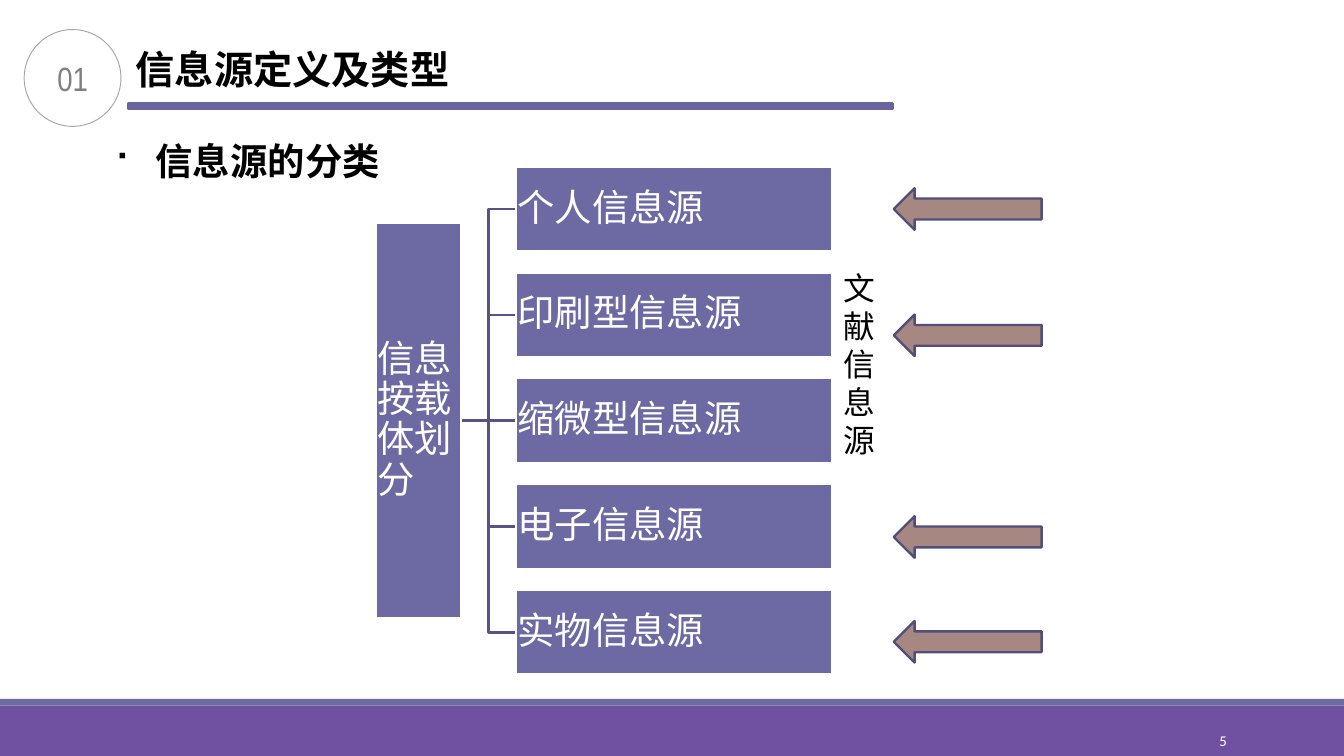
from lxml import etree
from pptx import Presentation
from pptx.dml.color import RGBColor
from pptx.enum.shapes import MSO_CONNECTOR, MSO_SHAPE
from pptx.enum.text import MSO_ANCHOR, MSO_AUTO_SIZE, PP_ALIGN
from pptx.oxml.ns import qn
from pptx.util import Inches, Pt

RECT, OVAL, ARROW = MSO_SHAPE.RECTANGLE, MSO_SHAPE.OVAL, MSO_SHAPE.RIGHT_ARROW
ELBOW, STRAIGHT = MSO_CONNECTOR.ELBOW, MSO_CONNECTOR.STRAIGHT
LEFT, CENTER, RIGHT = PP_ALIGN.LEFT, PP_ALIGN.CENTER, PP_ALIGN.RIGHT
TOP, MIDDLE = MSO_ANCHOR.TOP, MSO_ANCHOR.MIDDLE

WHITE = RGBColor(0xFF, 0xFF, 0xFF)
BLACK = RGBColor(0x00, 0x00, 0x00)
GRAY = RGBColor(0x80, 0x80, 0x80)
RING = RGBColor(0xA6, 0xA6, 0xA6)
FOOTER = RGBColor(0x70, 0x50, 0xA0)
RULE = RGBColor(0x69, 0x64, 0xA0)
BOX = RGBColor(0x6D, 0x69, 0xA3)
BRANCH = RGBColor(0x57, 0x54, 0x83)
ARROW_FILL = RGBColor(0xA6, 0x87, 0x82)
ARROW_LINE = RGBColor(0x51, 0x4E, 0x79)

CJK = "Noto Sans CJK SC"
NARROW_INSETS = (0.07, 0.04)
BOX_INSETS = (0.01, 0.01)

CATEGORIES = ["个人信息源", "印刷型信息源", "缩微型信息源", "电子信息源", "实物信息源"]
BOX_LEFT, BOX_TOP, BOX_WIDTH, BOX_HEIGHT = 3.84, 1.24, 2.35, 0.63
LAST_BOX_TOP = 4.39
ROOT_LEFT, ROOT_HEIGHT = 2.8, 2.94
ARROW_TOPS = [1.4, 2.34, 3.84, 4.62]


def write(s, text, size, color, font="Calibri", bold=False, align=LEFT,
          anchor=TOP, insets=(0.1, 0.05), wrap=True, spacing=None):
    tf = s.text_frame
    mx, my = map(Inches, insets)
    frame = {"margin_left": mx, "margin_right": mx, "margin_top": my,
             "margin_bottom": my, "vertical_anchor": anchor,
             "auto_size": MSO_AUTO_SIZE.NONE, "word_wrap": wrap}
    for name, value in frame.items():
        setattr(tf, name, value)
    p = tf.paragraphs[0]
    p.alignment = align
    p.line_spacing = spacing
    r = p.add_run()
    r.text = text
    for name, value in {"name": font, "size": Pt(size), "bold": bold}.items():
        setattr(r.font, name, value)
    r.font.color.rgb = color
    east_asian = etree.SubElement(r.font._element, qn("a:ea"))
    east_asian.set("typeface", CJK)
    return p


def add_shape(slide, kind, at, fill=None, line=None, weight=1.25):
    s = slide.shapes.add_shape(kind, *map(Inches, at))
    s.shadow.inherit = False
    if fill is None:
        s.fill.background()
    else:
        s.fill.solid()
        s.fill.fore_color.rgb = fill
    if line is None:
        s.line.fill.background()
    else:
        s.line.color.rgb = line
        s.line.width = Pt(weight)
    return s


def add_text(slide, at, text, size, color, **style):
    s = slide.shapes.add_textbox(*map(Inches, at))
    return write(s, text, size, color, **style)


def add_bullet(p, char, indent):
    pPr = p._p.get_or_add_pPr()
    pPr.set("marL", str(Inches(indent)))
    pPr.set("indent", str(-Inches(indent)))
    etree.SubElement(pPr, qn("a:buFont")).set("typeface", "Wingdings")
    etree.SubElement(pPr, qn("a:buChar")).set("char", char)


def add_branch(slide, x1, y1, x2, y2):
    kind = STRAIGHT if y1 == y2 else ELBOW
    c = slide.shapes.add_connector(kind, *map(Inches, (x1, y1, x2, y2)))
    c.line.color.rgb = BRANCH
    c.line.width = Pt(1.25)
    etree.SubElement(c._element.spPr, qn("a:effectLst"))


def add_box(slide, at, text):
    s = add_shape(slide, RECT, at, BOX, WHITE)
    write(s, text, 20, WHITE, anchor=MIDDLE, insets=BOX_INSETS, spacing=0.9)


def add_frame(slide):
    """Footer bands, page number, section number and title."""
    add_shape(slide, RECT, (0, 5.25, 10, 0.38), FOOTER)
    add_shape(slide, RECT, (0, 5.2, 10, 0.05), BOX)
    add_text(slide, (8.12, 5.36, 1.08, 0.3), "5", 8, WHITE, align=RIGHT,
             anchor=MIDDLE, insets=NARROW_INSETS)
    add_shape(slide, RECT, (0.95, 0.77, 5.69, 0.04), RULE, RULE)
    badge = add_shape(slide, OVAL, (0.18, 0.22, 0.72, 0.72), None, RING, 0.5)
    write(badge, "01", 18, GRAY, font="Arial Narrow", align=CENTER,
          anchor=MIDDLE, insets=NARROW_INSETS)
    title = slide.shapes.title
    title.left, title.top, title.width, title.height = map(
        Inches, (0.94, 0.3, 2.52, 0.43))
    write(title, "信息源定义及类型", 21, BLACK, font=CJK, bold=True,
          insets=NARROW_INSETS, wrap=False)


def add_tree(slide):
    """Root box on the left, joined to one box per category."""
    pitch = (LAST_BOX_TOP - BOX_TOP) / (len(CATEGORIES) - 1)
    tops = [BOX_TOP + i * pitch for i in range(len(CATEGORIES))]
    middle = tops[len(tops) // 2] + BOX_HEIGHT / 2
    for top in tops:
        add_branch(slide, ROOT_LEFT + BOX_HEIGHT, middle,
                   BOX_LEFT, top + BOX_HEIGHT / 2)
    add_box(slide, (ROOT_LEFT, middle - ROOT_HEIGHT / 2, BOX_HEIGHT, ROOT_HEIGHT),
            "信息按载体划分")
    for top, category in zip(tops, CATEGORIES):
        add_box(slide, (BOX_LEFT, top, BOX_WIDTH, BOX_HEIGHT), category)


def main():
    prs = Presentation()
    prs.slide_width = Inches(10)
    prs.slide_height = prs.slide_width * 9 // 16
    slide = prs.slides.add_slide(prs.slide_layouts[5])
    add_frame(slide)
    p = add_text(slide, (0.75, 0.98, 2.2, 0.44), "信息源的分类", 20, BLACK,
                 font=CJK, bold=True, wrap=False)
    add_bullet(p, "■", 0.31)
    add_tree(slide)
    for top in ARROW_TOPS:
        s = add_shape(slide, ARROW, (6.65, top, 1.1, 0.31), ARROW_FILL, ARROW_LINE)
        s.rotation = 180
    add_text(slide, (6.18, 1.95, 0.31, 1.53), "文献信息源", 17, BLACK)
    prs.save("out.pptx")


if __name__ == "__main__":
    main()
